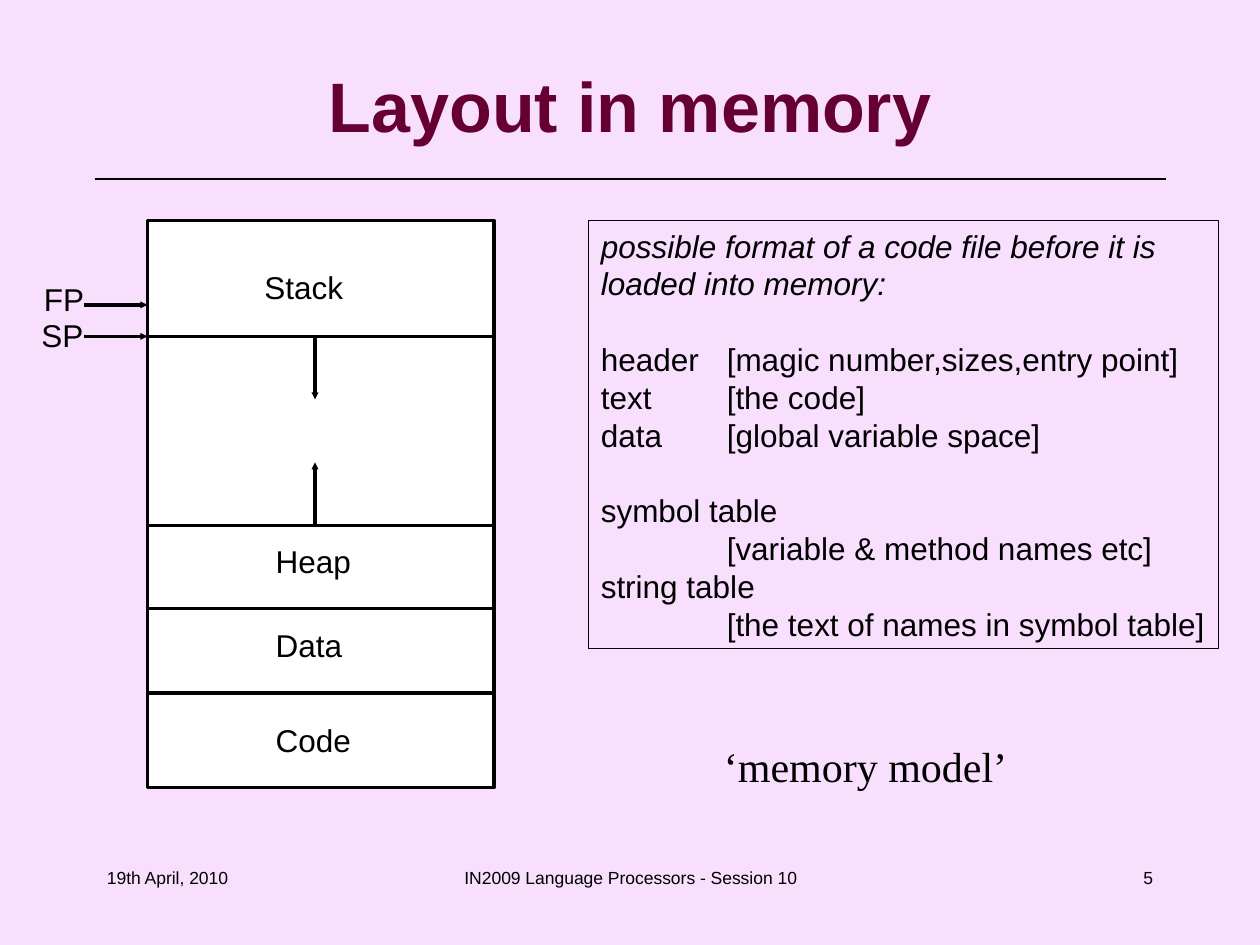
"""Build the memory layout slide: segment diagram, code file format and footer."""
import pptx
import pptx.util
import pptx.dml.color
import pptx.enum.shapes
import pptx.enum.text
import pptx.oxml
import pptx.oxml.ns
from lxml import etree

Inches = pptx.util.Inches
Pt = pptx.util.Pt
RGBColor = pptx.dml.color.RGBColor
ALIGN = pptx.enum.text.PP_ALIGN
ANCHOR = pptx.enum.text.MSO_ANCHOR
RECTANGLE = pptx.enum.shapes.MSO_SHAPE.RECTANGLE
STRAIGHT = pptx.enum.shapes.MSO_CONNECTOR.STRAIGHT
qn = pptx.oxml.ns.qn

BACKGROUND = RGBColor(0xF7, 0xDF, 0xFD)
BLACK = RGBColor(0, 0, 0)
WHITE = RGBColor(0xFF, 0xFF, 0xFF)
TITLE_COLOR = RGBColor(0x66, 0x00, 0x33)

presentation = pptx.Presentation()
presentation.slide_width = Inches(10)
presentation.slide_height = Inches(7.5)
slide = presentation.slides.add_slide(presentation.slide_layouts[6])
slide.background.fill.solid()
slide.background.fill.fore_color.rgb = BACKGROUND


def add_line(x1, y1, x2, y2, width=2, arrow=False):
    line = slide.shapes.add_connector(
        STRAIGHT, Inches(x1), Inches(y1), Inches(x2), Inches(y2))
    line.line.color.rgb = BLACK
    line.line.width = Pt(width)
    if arrow:
        etree.SubElement(line.line._get_or_add_ln(), qn("a:tailEnd"),
                         type="triangle", w="sm", len="sm")
    etree.SubElement(line._element.spPr, qn("a:effectLst"))


def write(paragraph, text, size=18, font="Arial", color=BLACK, align=ALIGN.LEFT):
    paragraph.alignment = align
    paragraph.line_spacing = Pt(1.2 * size)
    run = paragraph.add_run()
    run.text = text
    run.font.size = Pt(size)
    run.font.name = font
    run.font.color.rgb = color
    return run


add_line(0.75, 1.42, 9.25, 1.42, width=0.75)

for left, width, text, align in [
    (0.75, 2.08, "19th April, 2010", ALIGN.LEFT),
    (3.42, 3.17, "IN2009 Language Processors - Session 10", ALIGN.CENTER),
    (7.17, 2.08, "5", ALIGN.RIGHT),
]:
    footer = slide.shapes.add_textbox(Inches(left), Inches(6.83), Inches(width), Inches(0.5))
    footer.text_frame.word_wrap = True
    write(footer.text_frame.paragraphs[0], text, size=10, align=align)

title = slide.shapes.add_textbox(Inches(0.5), Inches(0.33), Inches(9), Inches(1))
title.text_frame.word_wrap = True
title.text_frame.vertical_anchor = ANCHOR.MIDDLE
title_run = write(title.text_frame.paragraphs[0], "Layout in memory",
                  size=40, color=TITLE_COLOR, align=ALIGN.CENTER)
title_run.font.bold = True

memory = slide.shapes.add_shape(RECTANGLE, Inches(1.17), Inches(1.75), Inches(2.75), Inches(4.5))
memory.shadow.inherit = False
memory.fill.solid()
memory.fill.fore_color.rgb = WHITE
memory.line.color.rgb = BLACK
memory.line.width = Pt(2)

for boundary in (2.67, 4.17, 4.83, 5.5):
    add_line(1.17, boundary, 3.92, boundary)

for text, left, top, width in [
    ("Stack", 2, 2.08, 0.9),
    ("Heap", 2.09, 4.25, 0.9),
    ("Data", 2.09, 4.92, 0.9),
    ("Code", 2.09, 5.67, 0.9),
    ("FP", 0.25, 2.17, 0.6),
    ("SP", 0.23, 2.46, 0.6),
]:
    label = slide.shapes.add_textbox(Inches(left), Inches(top), Inches(width), Inches(0.4))
    label.text_frame.word_wrap = False
    write(label.text_frame.paragraphs[0], text)

add_line(2.5, 2.67, 2.5, 3.17, arrow=True)
add_line(2.5, 4.17, 2.5, 3.67, arrow=True)
for pointer_y in (2.42, 2.67):
    add_line(0.67, pointer_y, 1.17, pointer_y, arrow=True)

code_file = slide.shapes.add_shape(RECTANGLE, Inches(4.67), Inches(1.75), Inches(5), Inches(3.4))
code_file.shadow.inherit = False
code_file.fill.background()
code_file.line.color.rgb = BLACK
code_file.line.width = Pt(0.5)
code_frame = code_file.text_frame
code_frame.word_wrap = True
code_frame.vertical_anchor = ANCHOR.TOP
intro = write(code_frame.paragraphs[0],
              "possible format of a code file before it is loaded into memory:")
intro.font.italic = True

for text, starts_group in [
    ("header\t[magic number,sizes,entry point]", True),
    ("text\t[the code]", False),
    ("data\t[global variable space]", False),
    ("symbol table", True),
    ("\t[variable & method names etc]", False),
    ("string table", False),
    ("\t[the text of names in symbol table]", False),
]:
    entry = code_frame.add_paragraph()
    write(entry, text)
    if starts_group:
        entry.space_before = Pt(21.6)
    tab_stops = etree.SubElement(entry._p.get_or_add_pPr(), qn("a:tabLst"))
    etree.SubElement(tab_stops, qn("a:tab"), pos=str(Inches(1)), algn="l")

caption = slide.shapes.add_textbox(Inches(5.33), Inches(5.83), Inches(3.08), Inches(0.5))
caption.text_frame.word_wrap = True
write(caption.text_frame.paragraphs[0], "‘memory model’",
      size=24, font="Times New Roman", align=ALIGN.CENTER)

presentation.save("out.pptx")
